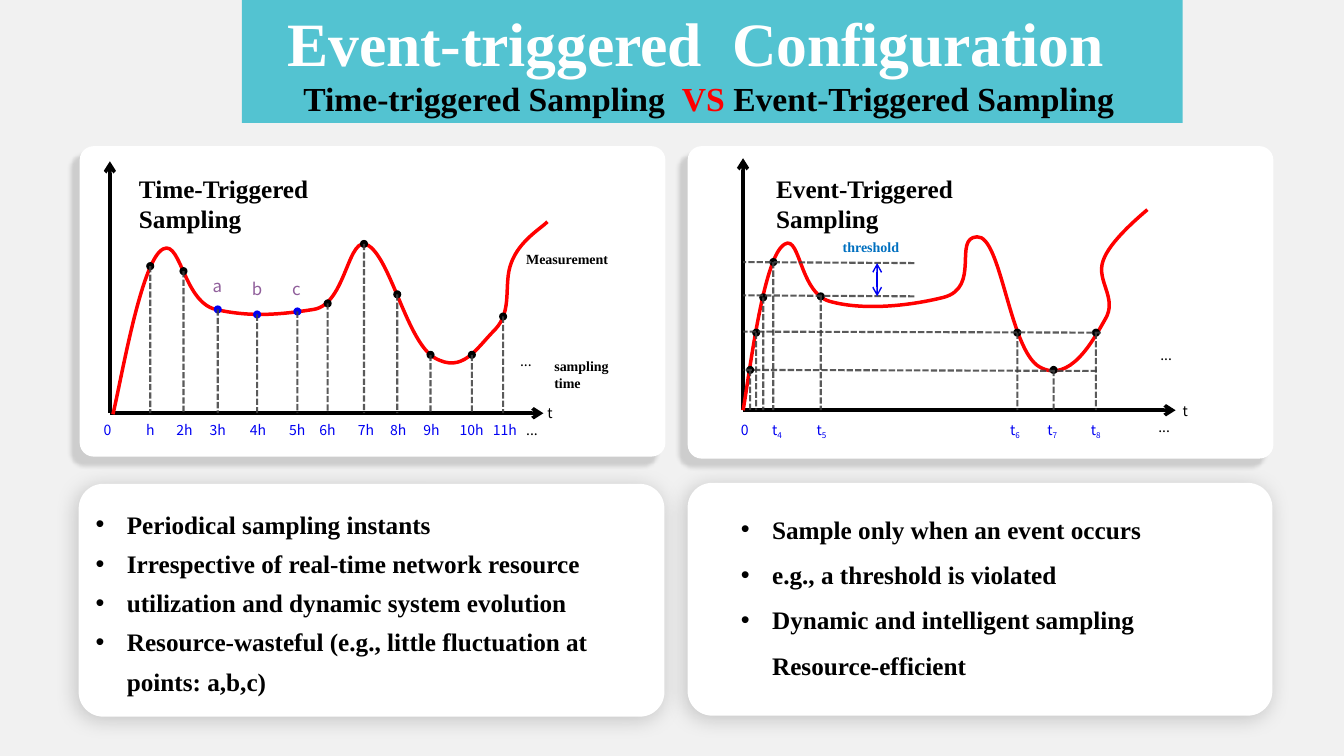
from typing import NamedTuple

from pptx import Presentation
from pptx.dml.color import RGBColor
from pptx.enum import dml, shapes, text
from pptx.oxml import parse_xml
from pptx.oxml.ns import nsdecls, qn
from pptx.util import Inches, Pt

BLACK = RGBColor(0x00, 0x00, 0x00)
WHITE = RGBColor(0xFF, 0xFF, 0xFF)
GREY = RGBColor(0xF1, 0xF1, 0xF1)
DARK = RGBColor(0x40, 0x40, 0x40)
TEAL = RGBColor(0x53, 0xC3, 0xD1)
RED = RGBColor(0xFF, 0x00, 0x00)
BLUE = RGBColor(0x00, 0x01, 0xF2)
SKY = RGBColor(0x00, 0x70, 0xC0)
PURPLE = RGBColor(0x90, 0x5F, 0x9B)
SERIF, SANS = "Times New Roman", "Noto Sans CJK SC"

Point = tuple[float, float]


class Label(NamedTuple):
    text: str
    x: float
    y: float
    w: float = 0.48
    h: float = 0.27
    size: float = 10
    color: RGBColor = BLACK
    font: str = SANS


class Panel(NamedTuple):
    x: float
    y: float
    w: float
    h: float
    round: float
    alpha: int
    blur: float
    dist: float


class Sample(NamedTuple):
    x: float
    y: float
    color: RGBColor = BLACK


class Plot(NamedTuple):
    panel: Panel
    zero: Point
    top: float
    right: float
    curve: list[Point]
    samples: list[Sample]
    labels: list[Label]


class Notes(NamedTuple):
    panel: Panel
    box: tuple[float, float, float, float]
    space: float
    items: list[str]


def style(run, size: float, color: RGBColor, font: str) -> None:
    run.font.size, run.font.name = Pt(size), font
    run.font.bold = font == SERIF
    run.font.color.rgb = color


def write(label: Label):
    box = slide.shapes.add_textbox(*map(Inches, label[1:5]))
    frame = box.text_frame
    frame.word_wrap = True
    frame.text = label.text
    for para in frame.paragraphs:
        for run in para.runs:
            style(run, label.size, label.color, label.font)
    return frame


def solid(kind, x: float, y: float, w: float, h: float, color: RGBColor):
    shape = slide.shapes.add_shape(kind, *map(Inches, (x, y, w, h)))
    shape.shadow.inherit = False
    shape.fill.solid()
    shape.fill.fore_color.rgb = color
    shape.line.fill.background()
    return shape


def card(panel: Panel) -> None:
    shape = solid(shapes.MSO_SHAPE.ROUNDED_RECTANGLE, *panel[:4], WHITE)
    shape.adjustments[0] = panel.round
    shape.element.spPr.find(qn("a:effectLst")).append(parse_xml(
        f'<a:outerShdw {nsdecls("a")} blurRad="{Pt(panel.blur)}" '
        f'dist="{Pt(panel.dist)}" dir="8100000" algn="tr" rotWithShape="0">'
        f'<a:srgbClr val="000000"><a:alpha val="{panel.alpha * 1000}"/>'
        '</a:srgbClr></a:outerShdw>'))


def line(start: Point, end: Point, color: RGBColor, width: float,
         ends: tuple[str, ...] = (), dash: bool = False) -> None:
    link = slide.shapes.add_connector(
        shapes.MSO_CONNECTOR.STRAIGHT, *map(Inches, start + end))
    link.line.width = Pt(width)
    link.line.color.rgb = color
    if dash:
        link.line.dash_style = dml.MSO_LINE.SQUARE_DOT
        tone = link.element.spPr.find(".//" + qn("a:srgbClr"))
        tone.append(parse_xml(f'<a:alpha {nsdecls("a")} val="86000"/>'))
    for tag in ends:
        link.element.spPr.find(qn("a:ln")).append(
            parse_xml(f'<a:{tag} {nsdecls("a")} type="arrow"/>'))
    link.element.spPr.append(parse_xml(f'<a:effectLst {nsdecls("a")}/>'))


def trace(curve: list[Point]) -> None:
    """Draw a chain of cubic Bezier arcs: a start, then three points per arc."""
    knots = [(Inches(x), Inches(y)) for x, y in curve]
    pen = slide.shapes.build_freeform(*knots[0], scale=1.0)
    pen.add_line_segments(knots[3::3], close=False)
    wave = pen.convert_to_shape()
    wave.shadow.inherit = False
    wave.fill.background()
    wave.line.color.rgb, wave.line.width = RED, Pt(2.5)
    # Bend each straight segment into its arc
    legs = wave.element.spPr.findall(".//" + qn("a:lnTo"))
    for i, leg in enumerate(legs):
        pts = "".join(f'<a:pt x="{x - wave.left}" y="{y - wave.top}"/>'
                      for x, y in knots[3 * i + 1:3 * i + 4])
        leg.getparent().replace(leg, parse_xml(
            f'<a:cubicBezTo {nsdecls("a")}>{pts}</a:cubicBezTo>'))


def draw(plot: Plot) -> None:
    x, y = plot.zero
    card(plot.panel)
    line((x, y), (x, plot.top), BLACK, 2.5, ("tailEnd",))
    line((x, y), (plot.right, y), BLACK, 2.5, ("tailEnd",))
    trace(plot.curve)
    for spot in plot.samples:
        solid(shapes.MSO_SHAPE.OVAL, spot.x - 0.04, spot.y - 0.04, 0.08, 0.08, spot.color)
        line((spot.x, spot.y), (spot.x, y), DARK, 1.5, dash=True)
    for label in plot.labels:
        write(label)


def tick(name: str, x: float) -> Label:
    return Label(name, x, 4.13, color=BLUE)


def bullets(notes: Notes) -> None:
    card(notes.panel)
    frame = write(Label("\n".join(notes.items), *notes.box, 18, BLACK, SERIF))
    for para in frame.paragraphs:
        para.line_spacing = notes.space
        props = para._p.get_or_add_pPr()
        props.set("marL", str(Inches(0.31)))
        props.set("indent", str(-Inches(0.31)))
        props.append(parse_xml(f'<a:buFont {nsdecls("a")} typeface="Arial"/>'))
        props.append(parse_xml(f'<a:buChar {nsdecls("a")} char="•"/>'))


prs = Presentation()
prs.slide_width, prs.slide_height = Inches(13.33), Inches(7.5)
slide = prs.slides.add_slide(prs.slide_layouts[5])

# Backdrop and heading band
title = slide.shapes.title
title.left, title.top, title.width, title.height = map(Inches, (2.2, 0, 9.4, 0.84))
head = title.text_frame
head.text = "Event-triggered  Configuration"
head.auto_size, head.vertical_anchor = text.MSO_AUTO_SIZE.NONE, text.MSO_ANCHOR.TOP
style(head.paragraphs[0].runs[0], 44, WHITE, SERIF)
head.paragraphs[0].runs[0]._r.get_or_add_rPr().set("spc", "-10")
for area, color in (((0, 0, 13.33, 7.5), GREY), ((2.4, 0, 9.33, 1.22), TEAL)):
    band = solid(shapes.MSO_SHAPE.RECTANGLE, *area, color)
    title.element.addprevious(band.element)
sub = write(Label("Time-triggered Sampling  ", 2.91, 0.72, 8.33, 0.5, 24, BLACK, SERIF))
for part, color in (("VS", RED), (" Event-Triggered Sampling", BLACK)):
    run = sub.paragraphs[0].add_run()
    run.text = part
    style(run, 24, color, SERIF)

# Time-triggered plot
hours = [("0", 0.93), ("h", 1.35), ("2h", 1.65), ("3h", 1.98), ("4h", 2.38),
         ("5h", 2.77), ("6h", 3.07), ("7h", 3.45), ("8h", 3.77), ("9h", 4.1),
         ("10h", 4.46), ("11h", 4.79)]
draw(Plot(
    Panel(0.79, 1.45, 5.81, 3.08, 0.045, 14, 3, 9), (1.09, 4.1), 1.6, 5.39,
    [(1.12, 4.11), (1.2, 3.78), (1.38, 2.71), (1.58, 2.5), (1.79, 2.29), (1.8, 2.99),
     (2.14, 3.07), (2.49, 3.15), (2.79, 3.12), (3.11, 3.07), (3.44, 3.02), (3.45, 2.29),
     (3.66, 2.44), (3.88, 2.59), (4.04, 3.39), (4.31, 3.55), (4.59, 3.71), (4.72, 3.46),
     (4.91, 3.27), (5.09, 3.08), (4.99, 2.82), (5.07, 2.61), (5.15, 2.39), (5.36, 2.27),
     (5.43, 2.2)],
    [Sample(1.49, 2.64), Sample(1.82, 2.69), Sample(2.16, 3.07, BLUE),
     Sample(2.55, 3.12, BLUE), Sample(2.95, 3.09, BLUE), Sample(3.25, 3.01),
     Sample(3.61, 2.42), Sample(3.94, 2.92), Sample(4.27, 3.52), Sample(4.68, 3.52),
     Sample(4.99, 3.14)],
    [tick(*hour) for hour in hours]
    + [Label(name, x, y, 0.3, 0.3, 12, PURPLE)
       for name, x, y in (("a", 2.01, 2.69), ("b", 2.4, 2.72), ("c", 2.8, 2.72))]
    + [Label("...", 5.12, 4.13), Label("...", 5.06, 3.45), Label("t", 5.33, 3.96),
       Label("Time-Triggered Sampling", 1.28, 1.67, 2.76, 0.4, 18, BLACK, SERIF),
       Label("Measurement", 5.12, 2.44, 1.05, font=SERIF),
       Label("sampling\ntime", 5.4, 3.5, 0.87, 0.44, font=SERIF)]))

# Event-triggered plot
draw(Plot(
    Panel(6.82, 1.45, 5.81, 3.1, 0.045, 14, 3, 9), (7.37, 4.07), 1.57, 11.66,
    [(7.37, 4.07), (7.43, 3.73), (7.56, 2.65), (7.75, 2.45), (7.94, 2.25), (7.91, 2.9),
     (8.23, 2.99), (8.55, 3.08), (9, 3.04), (9.36, 2.95), (9.73, 2.85), (9.45, 2.36),
     (9.69, 2.35), (9.93, 2.33), (10.01, 3.47), (10.31, 3.64), (10.61, 3.81),
     (10.84, 3.38), (10.96, 3.17), (11.09, 2.96), (10.87, 2.79), (10.94, 2.59),
     (11, 2.4), (11.3, 2.15), (11.38, 2.08)],
    [Sample(7.44, 3.67), Sample(7.5, 3.3), Sample(7.57, 2.95), Sample(7.67, 2.6),
     Sample(8.14, 2.94), Sample(10.09, 3.3), Sample(10.45, 3.67), Sample(10.87, 3.3)],
    [tick("0", 7.25), Label("...", 11.39, 4.1), Label("...", 11.41, 3.39),
     Label("t", 11.63, 3.94),
     Label("Event-Triggered Sampling", 7.6, 1.67, 2.76, 0.4, 18, BLACK, SERIF),
     Label("threshold", 8.26, 2.32, 0.82, 0.28, 10, SKY, SERIF)]))
for end, y in ((9.07, 2.6), (9.07, 2.93), (10.92, 3.29), (10.88, 3.67)):
    line((end, y + 0.01), (7.37, y), DARK, 1.5, dash=True)
line((8.7, 2.61), (8.7, 2.94), BLUE, 1, ("headEnd", "tailEnd"))
for index, x in zip("45678", (7.56, 8, 9.92, 10.29, 10.72)):
    run = write(tick("t", x)).paragraphs[0].add_run()
    run.text = index
    style(run, 10, BLUE, SANS)
    run._r.get_or_add_rPr().set("baseline", "-25000")

# Notes under each plot
bullets(Notes(Panel(0.78, 4.8, 5.81, 2.31, 0.106, 19, 15, 3), (0.85, 4.91, 5.79, 2.07), 1.3,
              ["Periodical sampling instants", "Irrespective of real-time network resource",
               "utilization and dynamic system evolution",
               "Resource-wasteful (e.g., little fluctuation at points: a,b,c)"]))
bullets(Notes(Panel(6.82, 4.79, 5.8, 2.31, 0.106, 19, 15, 3), (7.25, 4.9, 5.13, 1.92), 1.5,
              ["Sample only when an event occurs", "e.g., a threshold is violated",
               "Dynamic and intelligent sampling Resource-efficient"]))

prs.save("out.pptx")
